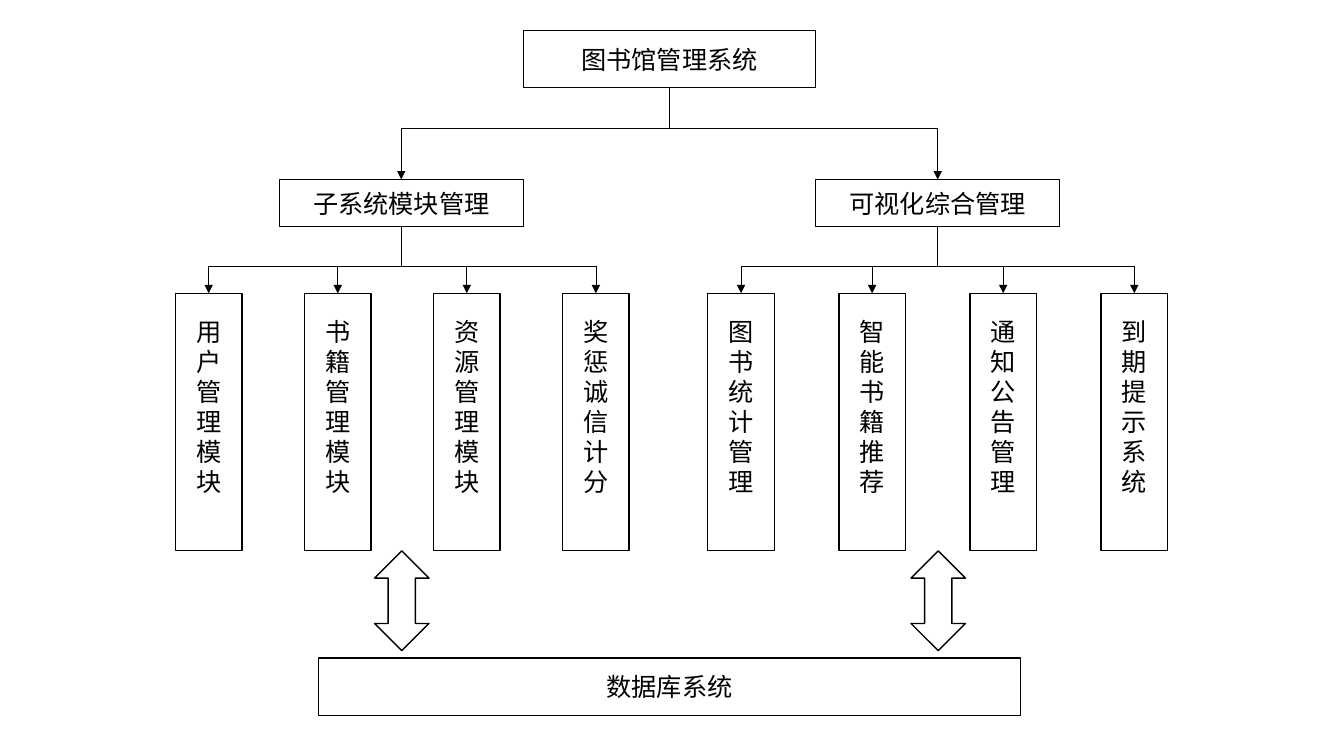
from lxml import etree
from pptx import Presentation
from pptx.dml.color import RGBColor
from pptx.enum.shapes import MSO_CONNECTOR as Connector, MSO_SHAPE as Shape
from pptx.enum.text import MSO_ANCHOR as Anchor, PP_ALIGN as Align
from pptx.oxml.ns import qn
from pptx.util import Inches, Pt

BLACK = RGBColor(0, 0, 0)
WHITE = RGBColor(255, 255, 255)
FONT = "Noto Sans CJK SC"

TOP, BOTTOM = 0, 2
COLUMN_WIDTH, COLUMN_HEIGHT = 0.66, 2.55

BRANCHES = [
    ("子系统模块管理", 2.77, 1.74, 1.28,
     ["用户管理模块", "书籍管理模块", "资源管理模块", "奖惩诚信计分"]),
    ("可视化综合管理", 8.09, 7.02, 1.3,
     ["图书统计管理", "智能书籍推荐", "通知公告管理", "到期提示系统"]),
]


def add_outlined(page, kind, left, top, width, height):
    box = page.shapes.add_shape(kind, *map(Inches, (left, top, width, height)))
    box.shadow.inherit = False
    box.fill.solid()
    box.fill.fore_color.rgb = WHITE
    box.line.color.rgb = BLACK
    box.line.width = Pt(1)
    return box


def add_label(page, text, left, top, width, height, spacing=None, bottom=0.05):
    box = add_outlined(page, Shape.RECTANGLE, left, top, width, height)
    frame = box.text_frame
    frame_format = {"word_wrap": True, "vertical_anchor": Anchor.MIDDLE,
                    "margin_bottom": Inches(bottom)}
    for name, value in frame_format.items():
        setattr(frame, name, value)
    para = frame.paragraphs[0]
    para.alignment = Align.CENTER
    para.line_spacing = spacing
    span = para.add_run()
    span.text = text
    for name, value in {"name": FONT, "size": Pt(18)}.items():
        setattr(span.font, name, value)
    span.font.color.rgb = BLACK
    east_asian = etree.SubElement(span.font._element, qn("a:ea"))
    east_asian.set("typeface", FONT)
    return box


def add_line(page, start, end, source=None, target=None):
    line = page.shapes.add_connector(Connector.STRAIGHT, *start, *end)
    line.line.color.rgb = BLACK
    line.line.width = Pt(0.5)
    if source is not None:
        line.begin_connect(source, BOTTOM)
    if target is not None:
        line.end_connect(target, TOP)
        arrowhead = etree.SubElement(line.line._get_or_add_ln(), qn("a:tailEnd"))
        arrowhead.set("type", "triangle")
    etree.SubElement(line._element.spPr, qn("a:effectLst"))


def center(box):
    return box.left + box.width // 2


def join_children(page, parent, children, bus_top):
    bus = Inches(bus_top)
    middle = center(parent)
    add_line(page, (middle, parent.top + parent.height), (middle, bus), source=parent)
    add_line(page, (center(children[0]), bus), (center(children[-1]), bus))
    for child in children:
        add_line(page, (center(child), bus), (center(child), child.top), target=child)


def add_branch(page, title, left, first_column, step, modules):
    head = add_label(page, title, left, 1.78, 2.42, 0.47)
    columns = [
        add_label(page, module, first_column + index * step, 2.91,
                  COLUMN_WIDTH, COLUMN_HEIGHT, Pt(21.5), 0.35)
        for index, module in enumerate(modules)
    ]
    join_children(page, head, columns, 2.64)
    arrow = add_outlined(page, Shape.LEFT_RIGHT_ARROW, left + 0.72, 5.69, 0.99, 0.54)
    arrow.rotation = 90
    return head


def build_architecture(page):
    root = add_label(page, "图书馆管理系统", 5.19, 0.3, 2.9, 0.57)
    heads = [add_branch(page, *branch) for branch in BRANCHES]
    join_children(page, root, heads, 1.27)
    add_label(page, "数据库系统", 3.16, 6.53, 6.96, 0.57)


def main():
    deck = Presentation()
    deck.slide_width, deck.slide_height = Inches(13.33), Inches(7.5)
    page = deck.slides.add_slide(deck.slide_layouts[6])
    build_architecture(page)
    deck.save("out.pptx")


if __name__ == "__main__":
    main()
